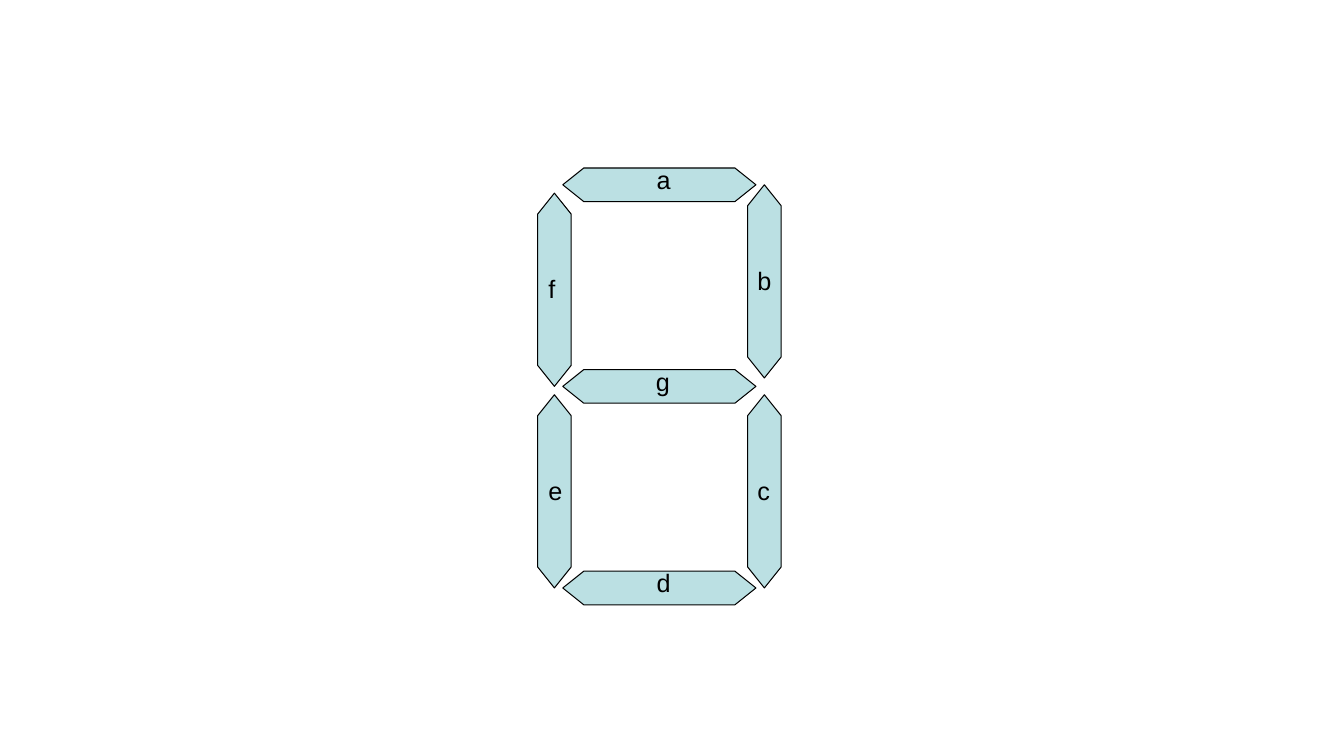
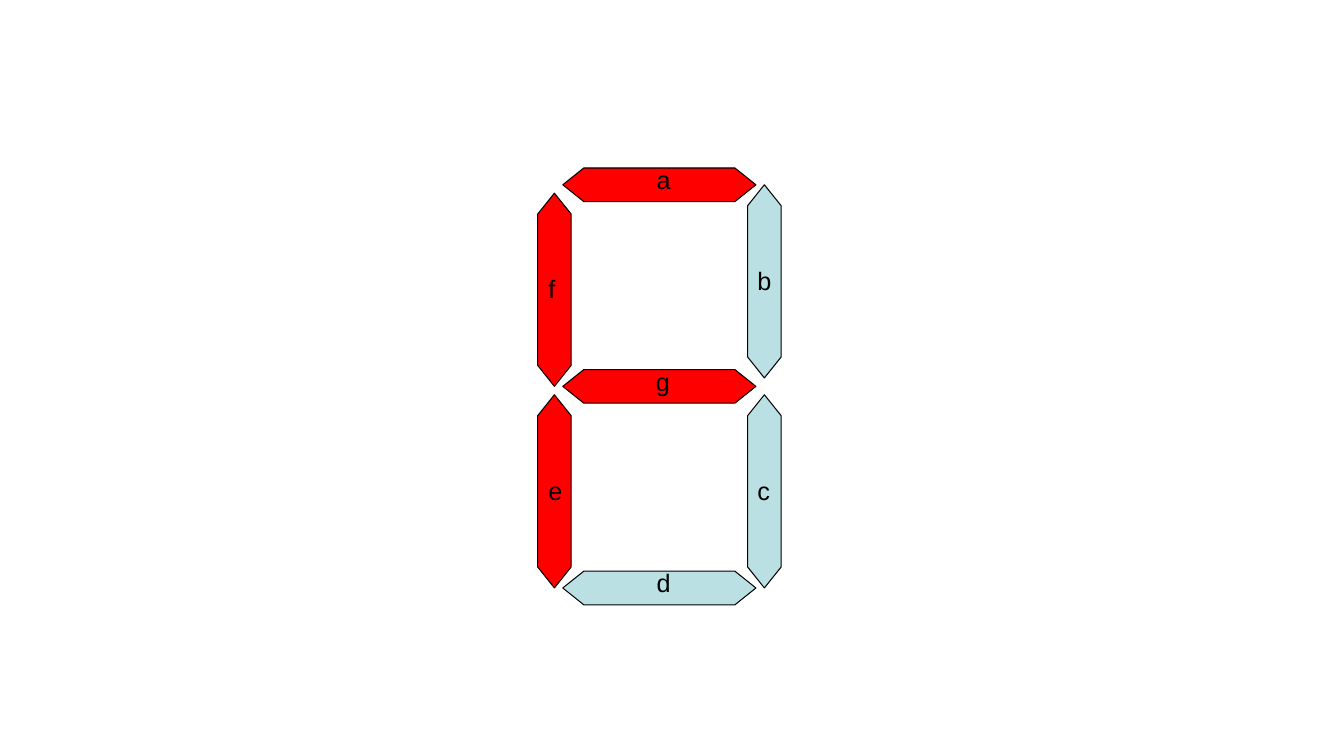
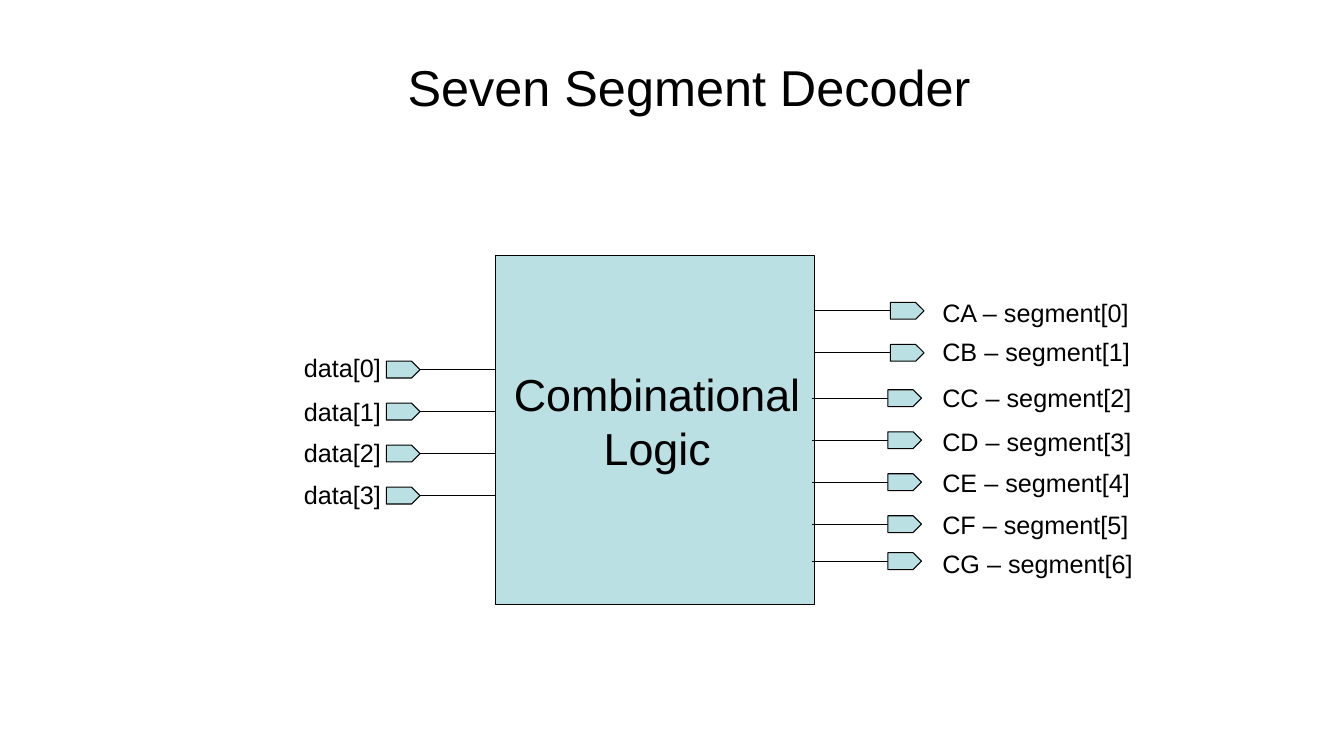
from lxml.etree import SubElement
from pptx import Presentation
from pptx.dml.color import RGBColor
from pptx.enum.shapes import MSO_CONNECTOR, MSO_SHAPE
from pptx.enum.text import MSO_ANCHOR, MSO_AUTO_SIZE, PP_ALIGN
from pptx.oxml.ns import qn
from pptx.util import Pt

EMU_PER_PX = 7620  # 120 px to the inch
BLACK = RGBColor(0x00, 0x00, 0x00)
PALE_TEAL = RGBColor(0xBB, 0xE0, 0xE3)
RED = RGBColor(0xFF, 0x00, 0x00)
FONT = "Arial"
LINE_WIDTH = Pt(0.75)
TITLE_ONLY, BLANK = 5, 6
LEFT_SIDE, RIGHT_SIDE = 1, 3

SEGMENT_LENGTH, SEGMENT_THICKNESS, SEGMENT_TIP = 230, 40, 25
# name: (left, top, is upright)
SEGMENTS = {
    "g": (670, 440, False),
    "b": (890, 220, True),
    "a": (670, 200, False),
    "f": (640, 230, True),
    "e": (640, 470, True),
    "d": (670, 680, False),
    "c": (890, 470, True),
}
# name: (left, top, width)
SEGMENT_LABELS = {
    "a": (770, 190, 41),
    "b": (890, 310, 41),
    "c": (890, 560, 38),
    "d": (770, 670, 41),
    "e": (641, 560, 41),
    "f": (641, 320, 32),
    "g": (769, 430, 41),
}
LABEL_HEIGHT = 49

PIN_WIDTH, PIN_HEIGHT, WIRE_LENGTH = 40, 20, 90
# (label, label top)
INPUTS = [("data[0]", 413), ("data[1]", 466), ("data[2]", 515), ("data[3]", 565)]
# (label, label top, wire left, wire height)
OUTPUTS = [
    ("CA – segment[0]", 348, 970, 370),
    ("CB – segment[1]", 395, 970, 420),
    ("CC – segment[2]", 449, 967, 474),
    ("CD – segment[3]", 502, 967, 524),
    ("CE – segment[4]", 550, 967, 574),
    ("CF – segment[5]", 600, 967, 624),
    ("CG – segment[6]", 647, 967, 668),
]


def px(*lengths):
    """Turn px lengths into EMU."""
    return [length * EMU_PER_PX for length in lengths]


class SlideBuilder:
    """Holds the deck, its style and the current slide."""

    def __init__(self):
        self.deck = Presentation()
        self.deck.slide_width, self.deck.slide_height = px(1600, 900)
        self.page = None

    def new_page(self, layout):
        self.page = self.deck.slides.add_slide(self.deck.slide_layouts[layout])

    def set_text(self, box, text, size, align, wrap=False, space_before=0):
        frame = box.text_frame
        frame.text = text
        frame.word_wrap = wrap
        frame.auto_size = MSO_AUTO_SIZE.SHAPE_TO_FIT_TEXT
        frame.vertical_anchor = MSO_ANCHOR.TOP
        for para in frame.paragraphs:
            para.alignment = align
            para.space_before = Pt(space_before)
            for span in para.runs:
                span.font.name = FONT
                span.font.size = Pt(size)
                span.font.color.rgb = BLACK

    def title(self, text, left, top, width, height):
        box = self.page.shapes.title
        box.left, box.top, box.width, box.height = px(left, top, width, height)
        self.set_text(box, text, 36, PP_ALIGN.CENTER)

    def text(self, text, left, top, width, height=LABEL_HEIGHT, size=18,
             align=PP_ALIGN.LEFT, **spacing):
        box = self.page.shapes.add_textbox(*px(left, top, width, height))
        self.set_text(box, text, size, align, **spacing)

    def signal_label(self, text, left, top, width):
        self.text(text, left, top, width, wrap=True, space_before=11.2)

    def paint(self, shape, fill):
        shape.shadow.inherit = False
        shape.fill.solid()
        shape.fill.fore_color.rgb = fill
        shape.line.color.rgb = BLACK
        shape.line.width = LINE_WIDTH

    def shape(self, kind, left, top, width, height):
        shape = self.page.shapes.add_shape(kind, *px(left, top, width, height))
        self.paint(shape, PALE_TEAL)
        return shape

    def pin(self, left, middle):
        return self.shape(MSO_SHAPE.PENTAGON, left, middle - PIN_HEIGHT // 2,
                          PIN_WIDTH, PIN_HEIGHT)

    def wire(self, left, height):
        wire = self.page.shapes.add_connector(
            MSO_CONNECTOR.STRAIGHT, *px(left, height, left + WIRE_LENGTH, height))
        wire.line.color.rgb = BLACK
        wire.line.width = LINE_WIDTH
        SubElement(wire.element.spPr, qn("a:effectLst"))
        return wire

    def segment(self, left, top, upright, fill):
        """Draw a bar with a pointed tip at each end."""
        length, thick, tip = SEGMENT_LENGTH, SEGMENT_THICKNESS, SEGMENT_TIP
        points = [(0, thick // 2), (tip, 0), (length - tip, 0),
                  (length, thick // 2), (length - tip, thick), (tip, thick)]
        if upright:
            points = [(y, x) for x, y in points]
        points = [(left + x, top + y) for x, y in points]
        outline = self.page.shapes.build_freeform(*points[0], scale=EMU_PER_PX)
        outline.add_line_segments(points[1:], close=True)
        self.paint(outline.convert_to_shape(), fill)


def display_page(builder, lit=""):
    """Draw the seven-segment digit with the lit segments in red."""
    builder.new_page(BLANK)
    for name, (left, top, upright) in SEGMENTS.items():
        builder.segment(left, top, upright, RED if name in lit else PALE_TEAL)
    for name, (left, top, width) in SEGMENT_LABELS.items():
        builder.text(name, left, top, width)


def decoder_page(builder):
    builder.new_page(TITLE_ONLY)
    builder.title("Seven Segment Decoder", 470, 61, 701, 85)
    builder.shape(MSO_SHAPE.RECTANGLE, 590, 304, 380, 416)
    for index, (label, label_top) in enumerate(INPUTS):
        height = 440 + 50 * index
        pin = builder.pin(460, height)
        builder.wire(500, height).begin_connect(pin, RIGHT_SIDE)
        builder.signal_label(label, 350, label_top, 120)
    for label, label_top, left, height in OUTPUTS:
        pin = builder.pin(left + WIRE_LENGTH, height)
        builder.wire(left, height).end_connect(pin, LEFT_SIDE)
        builder.signal_label(label, 1110, label_top, 280)
    builder.text("Combinational\nLogic", 599, 431, 367, 142, size=32,
                 align=PP_ALIGN.CENTER)


def main():
    builder = SlideBuilder()
    display_page(builder)
    display_page(builder, lit="aefg")
    decoder_page(builder)
    builder.deck.save("out.pptx")


if __name__ == "__main__":
    main()
